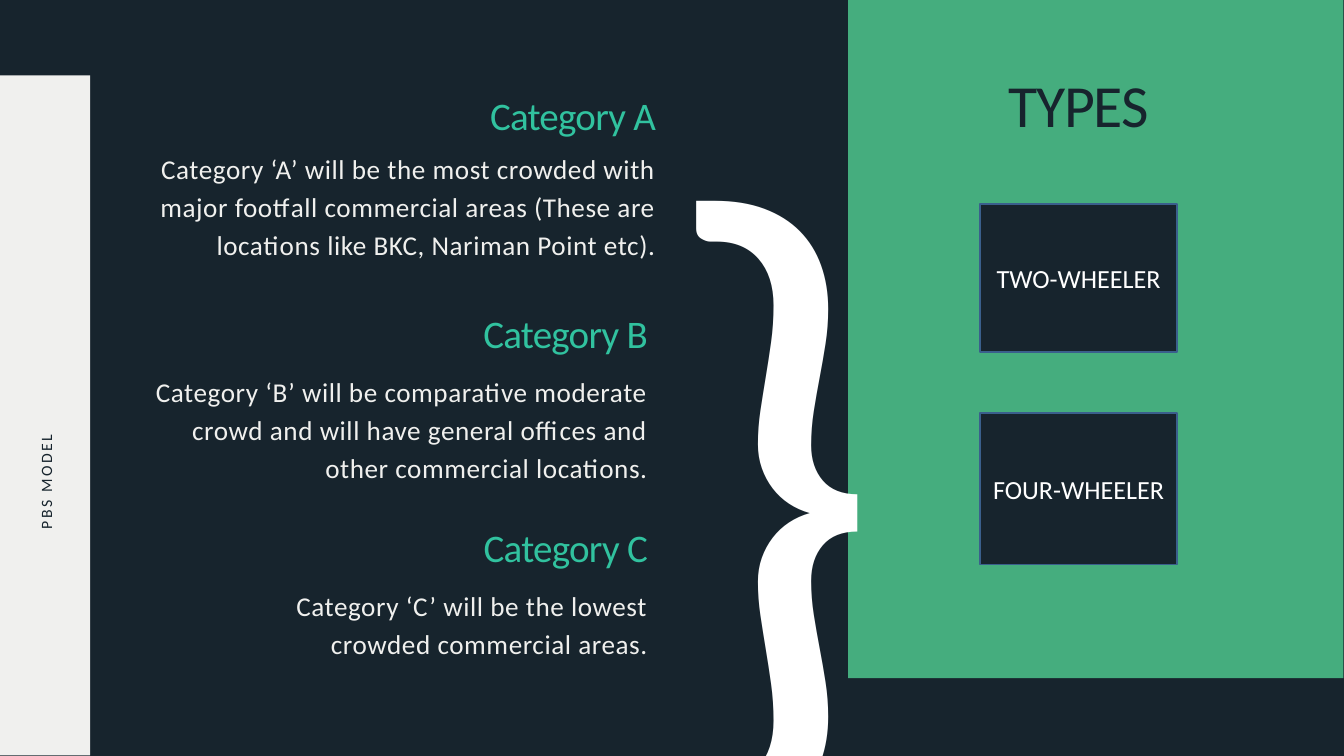
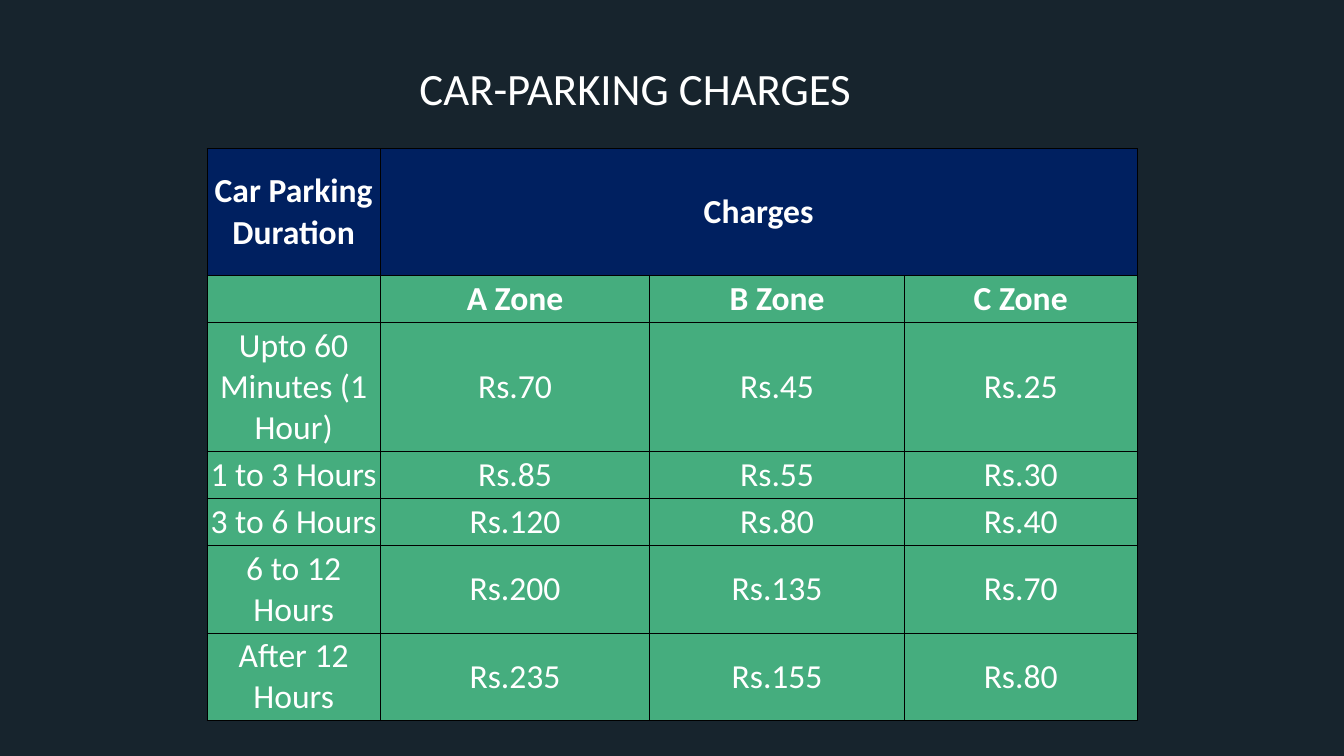
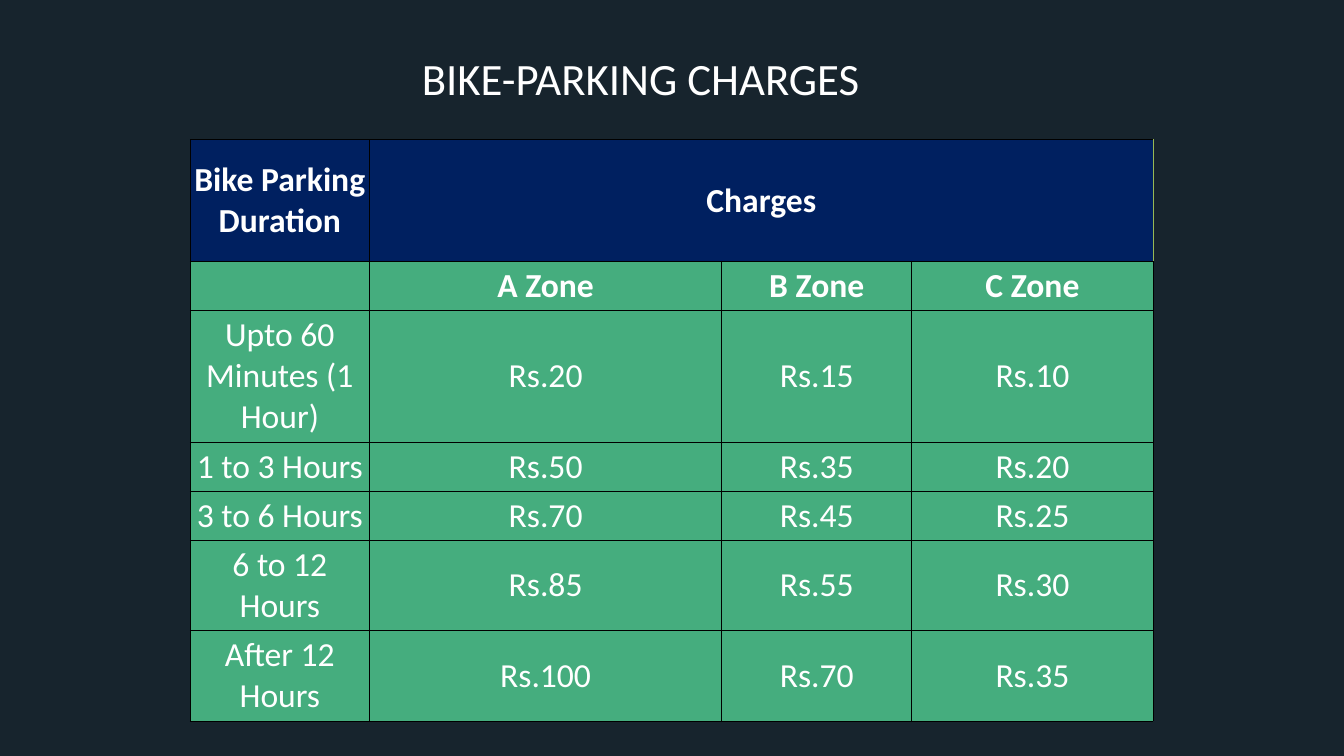
from dataclasses import dataclass

from lxml import etree
from pptx import Presentation
from pptx.dml.color import RGBColor
from pptx.enum.shapes import MSO_SHAPE
from pptx.enum.text import MSO_ANCHOR, MSO_AUTO_SIZE, PP_ALIGN
from pptx.oxml.ns import qn
from pptx.util import Inches, Pt

RECTANGLE = MSO_SHAPE.RECTANGLE
PROCESS = MSO_SHAPE.FLOWCHART_PROCESS
TOP, MIDDLE = MSO_ANCHOR.TOP, MSO_ANCHOR.MIDDLE
CENTER, RIGHT = PP_ALIGN.CENTER, PP_ALIGN.RIGHT
FIT_SHAPE = MSO_AUTO_SIZE.SHAPE_TO_FIT_TEXT

WIDTH, HEIGHT = 20, 11.25  # inches
COLUMNS, ROWS = 20, 11.25  # grid units across and down
TITLE_ONLY = 5
DEFAULT_INSETS = (0.1, 0.05)


@dataclass(frozen=True)
class Theme:
    font: str = "Calibri"
    # Colours
    dark: str = "17242D"
    green: str = "45AD7E"
    mint: str = "31C29F"
    pale: str = "F0F0EE"
    white: str = "FFFFFF"
    navy: str = "002060"
    outline: str = "3A5F8C"
    grid: str = "000000"
    accent: str = "98B955"
    # Type sizes in points
    display: float = 64
    title: float = 48
    heading: float = 41.8
    table: float = 36
    body: float = 29.1
    label: float = 28
    side: float = 16.9
    brace: float = 778.7


def write(frame, text, *, font, size, color, align=CENTER, bold=False,
          leading=None, tracking=None):
    """Put one formatted paragraph into a text frame."""
    frame.word_wrap = True
    paragraph = frame.paragraphs[0]
    paragraph.alignment = align
    if leading:
        paragraph.line_spacing = Pt(leading)
    run = paragraph.add_run()
    run.text = text
    run.font.name = font
    run.font.size = Pt(size)
    run.font.bold = bold
    run.font.color.rgb = RGBColor.from_string(color)
    if tracking:
        run._r.get_or_add_rPr().set("spc", str(round(tracking * 100)))


def add_border(cell, side, color, width):
    properties = cell._tc.get_or_add_tcPr()
    line = etree.SubElement(properties, qn(f"a:ln{side}"), w=str(Pt(width)))
    fill = etree.SubElement(line, qn("a:solidFill"))
    etree.SubElement(fill, qn("a:srgbClr"), val=color)


class Deck:
    def __init__(self, theme):
        self.theme = theme
        self.presentation = Presentation()
        self.presentation.slide_width = Inches(WIDTH)
        self.presentation.slide_height = Inches(HEIGHT)
        self.paint(self.presentation.slide_master.background.fill, theme.dark)
        self.slide = None

    @staticmethod
    def paint(fill, color):
        fill.solid()
        fill.fore_color.rgb = RGBColor.from_string(color)

    @staticmethod
    def across(columns):
        return Inches(columns * WIDTH / COLUMNS)

    @staticmethod
    def down(rows):
        return Inches(rows * HEIGHT / ROWS)

    def box(self, left, top, width, height):
        return (self.across(left), self.down(top),
                self.across(width), self.down(height))

    def new_slide(self):
        layout = self.presentation.slide_layouts[TITLE_ONLY]
        self.slide = self.presentation.slides.add_slide(layout)

    def fill_frame(self, frame, text, insets, **style):
        frame.margin_left = frame.margin_right = Inches(insets[0])
        frame.margin_top = frame.margin_bottom = Inches(insets[1])
        frame.vertical_anchor = TOP
        write(frame, text, font=self.theme.font, **style)
        frame.auto_size = FIT_SHAPE

    def title(self, text, place, insets=DEFAULT_INSETS, **style):
        shape = self.slide.shapes.title
        shape.left, shape.top, shape.width, shape.height = self.box(*place)
        self.fill_frame(shape.text_frame, text, insets, **style)
        self.slide.shapes._spTree.append(shape._element)  # bring to front

    def text(self, text, place, group=None, rotation=0, **style):
        shapes = (group or self.slide).shapes
        shape = shapes.add_textbox(*self.box(*place))
        shape.rotation = rotation
        self.fill_frame(shape.text_frame, text, (0, 0), **style)

    def panel(self, place, color, kind=RECTANGLE, outline=None, label=None):
        shape = self.slide.shapes.add_shape(kind, *self.box(*place))
        shape.shadow.inherit = False
        self.paint(shape.fill, color)
        if outline:
            shape.line.color.rgb = RGBColor.from_string(outline)
            shape.line.width = Pt(2)
        else:
            shape.line.fill.background()
        if label:
            shape.text_frame.vertical_anchor = MIDDLE
            write(shape.text_frame, label, font=self.theme.font,
                  size=self.theme.label, color=self.theme.white)

    def category(self, name, description, right, top, width, gap, height):
        theme, left = self.theme, right - width
        group = self.slide.shapes.add_group_shape()
        self.text(f"Category {name}", (left, top, width, 0.63), group,
                  size=theme.heading, color=theme.mint, align=RIGHT,
                  leading=theme.heading, tracking=-0.8)
        self.text(f"Category ‘{name}’ will be {description}",
                  (left, top + gap, width, height), group,
                  size=theme.body, color=theme.pale, align=RIGHT,
                  leading=40.7, tracking=0.6)

    def charges_table(self, rows, left, top, widths, heights, inset, edge):
        """Draw a table whose header spans every zone column."""
        theme = self.theme
        frame = self.slide.shapes.add_table(
            len(rows), len(widths),
            *self.box(left, top, sum(widths), sum(heights)))
        table = frame.table
        table.first_row = table.horz_banding = False
        for column, width in zip(table.columns, widths):
            column.width = self.across(width)
        for row, height in zip(table.rows, heights):
            row.height = self.down(height)
        table.cell(0, 1).merge(table.cell(0, len(widths) - 1))
        for i, row in enumerate(rows):
            for j, text in enumerate(row):
                cell = table.cell(i, j)
                for side in "LRTB":
                    header_edge = side == "R" and i == 0 and j > 0
                    color, width = edge if header_edge else (theme.grid, 1)
                    add_border(cell, side, color, width)
                self.paint(cell.fill, theme.green if i else theme.navy)
                cell.margin_left = cell.margin_right = Inches(inset)
                cell.margin_top = cell.margin_bottom = Inches(inset)
                cell.vertical_anchor = MIDDLE
                if text:
                    write(cell.text_frame, text, font=theme.font,
                          size=theme.table, color=theme.white, bold=i < 2)


DURATIONS = ["Upto 60 Minutes (1 Hour)", "1 to 3 Hours", "3 to 6 Hours",
             "6 to 12 Hours", "After 12 Hours"]


def charge_rows(vehicle, charges):
    head = [[f"{vehicle} Parking Duration", "Charges", "", ""],
            ["", *(f"{zone} Zone" for zone in "ABC")]]
    return head + [[duration, *(f"Rs.{charge}" for charge in row)]
                   for duration, row in zip(DURATIONS, charges)]


def types_slide(deck):
    theme = deck.theme
    deck.new_slide()

    # Side bands and title
    deck.panel((12.62, -0.03, 7.37, 10.12), theme.green)
    deck.panel((0, 1.12, 1.34, 10.12), theme.pale)
    deck.title("TYPES", (13.58, 1.19, 4.94, 0.94), insets=(0, 0),
               size=theme.display, color=theme.dark,
               leading=theme.display, tracking=-1.3)

    # Categories: name, description, right, top, width, gap, height
    for category in (
        ("A", "the most crowded with major footfall commercial areas (These "
         "are locations like BKC, Nariman Point etc).",
         9.76, 1.48, 7.9, 0.71, 1.7),
        ("B", "comparative moderate crowd and will have general offices and "
         "other commercial locations.", 9.64, 4.72, 7.66, 0.78, 1.65),
        ("C", "the lowest crowded commercial areas.",
         9.64, 7.91, 6.61, 0.78, 1.09),
    ):
        deck.category(*category)

    # Side label and brace
    deck.text("PBS MODEL", (-2.79, 7.02, 6.88, 0.31), rotation=270,
              size=theme.side, color=theme.dark, leading=23.6, tracking=2.5)
    deck.text("}", (8.66, -2.17, 5.6, 14.6), size=theme.brace,
              color=theme.white, leading=1090.2, tracking=15.6)

    # Vehicle types
    for label, top, height in (("TWO-WHEELER", 3.04, 2.2),
                               ("FOUR-WHEELER", 6.15, 2.25)):
        deck.panel((14.58, top, 2.94, height), theme.dark, PROCESS,
                   theme.outline, label)


def charges_slide(deck, vehicle, charges, title_at, **table):
    deck.new_slide()
    deck.charges_table(charge_rows(vehicle, charges), **table)
    deck.title(f"{vehicle.upper()}-PARKING CHARGES", (*title_at, 8.75, 0.91),
               size=deck.theme.title, color=deck.theme.white)


def main():
    theme = Theme()
    deck = Deck(theme)
    types_slide(deck)
    charges_slide(
        deck, "Car",
        [(70, 45, 25), (85, 55, 30), (120, 80, 40), (200, 135, 70),
         (235, 155, 80)],
        title_at=(5.08, 0.86), left=3.08, top=2.21,
        widths=[2.58, 4.01, 3.79, 3.46],
        heights=[1.89, 0.7, 1.8, 0.7, 0.7, 1.22, 1.22],
        inset=0.04, edge=(theme.grid, 1))
    charges_slide(
        deck, "Bike",
        [(20, 15, 10), (50, 35, 20), (70, 45, 25), (85, 55, 30),
         (100, 70, 35)],
        title_at=(5.16, 0.7), left=2.83, top=2.08,
        widths=[2.67, 5.24, 2.83, 3.59],
        heights=[1.81, 0.7, 1.87, 0.7, 0.7, 1.28, 1.28],
        inset=0.06, edge=(theme.accent, 0.75))
    deck.presentation.save("out.pptx")


if __name__ == "__main__":
    main()
